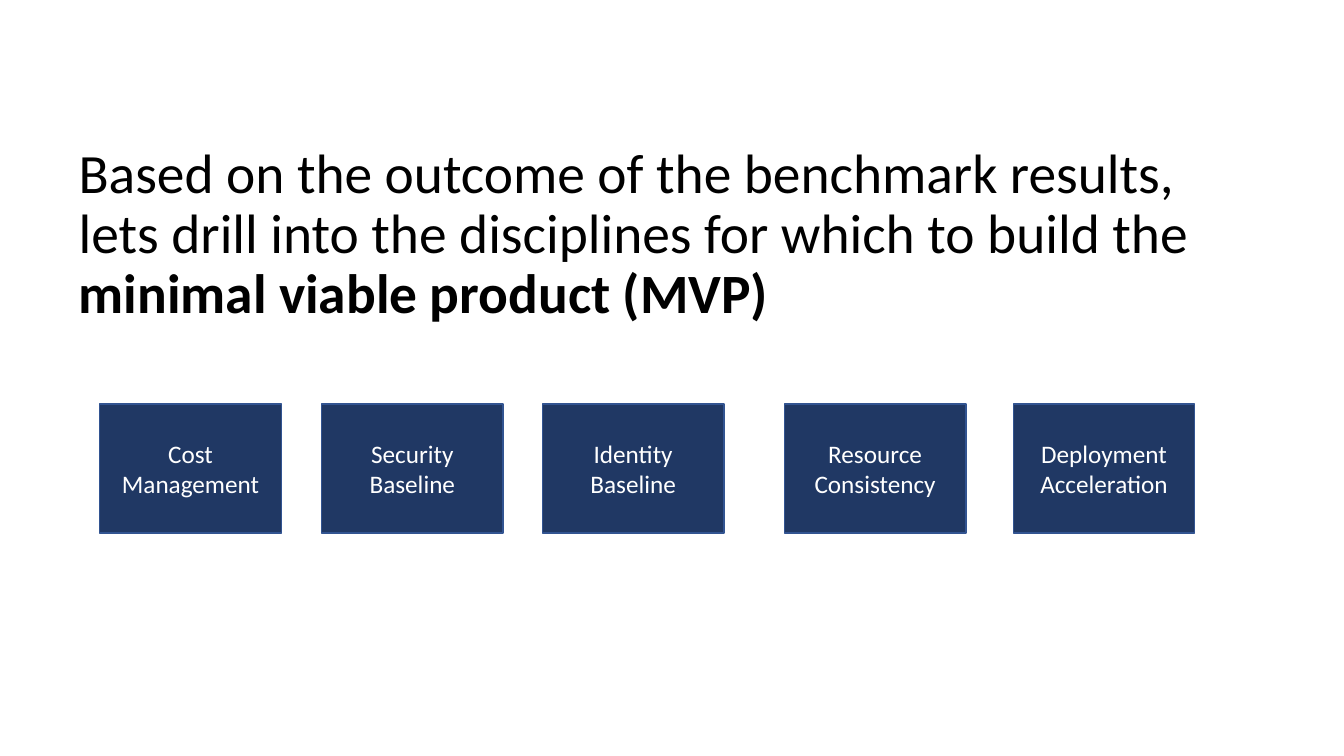
from dataclasses import dataclass

from pptx import Presentation
from pptx.dml.color import RGBColor
from pptx.enum.shapes import MSO_SHAPE
from pptx.enum.text import MSO_ANCHOR, MSO_AUTO_SIZE, PP_ALIGN
from pptx.util import Inches, Pt


@dataclass(frozen=True)
class Theme:
    font: str = "Calibri"
    title_size: float = 39.6
    card_size: float = 18
    title_color: RGBColor = RGBColor(0x00, 0x00, 0x00)
    card_fill: RGBColor = RGBColor(0x20, 0x38, 0x64)
    card_line: RGBColor = RGBColor(0x32, 0x54, 0x91)
    card_text: RGBColor = RGBColor(0xFF, 0xFF, 0xFF)


THEME = Theme()
TITLE_BOX = (0.68, 1.33, 11.5, 2.02)
CARDS_BOX = (0.99, 4.01, 10.86, 1.28)
CARD_WIDTH = 1.8
# Each discipline with its distance from the left edge of the row
DISCIPLINES = {
    "Cost Management": 0,
    "Security Baseline": 2.2,
    "Identity Baseline": 4.39,
    "Resource Consistency": 6.79,
    "Deployment Acceleration": 9.06,
}


def style_paragraph(paragraph, size, color, alignment):
    paragraph.alignment = alignment
    paragraph.font.name = THEME.font
    paragraph.font.size = Pt(size)
    paragraph.font.color.rgb = color


def add_title(slide, box):
    title = slide.shapes.title
    title.left, title.top, title.width, title.height = map(Inches, box)
    frame = title.text_frame
    frame.word_wrap = True
    frame.auto_size = MSO_AUTO_SIZE.NONE
    frame.vertical_anchor = MSO_ANCHOR.MIDDLE
    paragraph = frame.paragraphs[0]
    paragraph.line_spacing = 0.9
    style_paragraph(paragraph, THEME.title_size, THEME.title_color, PP_ALIGN.LEFT)
    paragraph.add_run().text = (
        "Based on the outcome of the benchmark results, "
        "lets drill into the disciplines for which to build the "
    )
    emphasis = paragraph.add_run()
    emphasis.text = "minimal viable product (MVP)"
    emphasis.font.bold = True


def add_card(slide, label, box):
    card = slide.shapes.add_shape(MSO_SHAPE.RECTANGLE, *map(Inches, box))
    card.shadow.inherit = False
    card.fill.solid()
    card.fill.fore_color.rgb = THEME.card_fill
    card.line.color.rgb = THEME.card_line
    card.line.width = Pt(1)
    frame = card.text_frame
    frame.word_wrap = True
    frame.vertical_anchor = MSO_ANCHOR.MIDDLE
    frame.text = label
    style_paragraph(frame.paragraphs[0], THEME.card_size, THEME.card_text, PP_ALIGN.CENTER)


def add_discipline_row(slide, box):
    left, top, _, height = box
    for label, offset in DISCIPLINES.items():
        add_card(slide, label, (left + offset, top, CARD_WIDTH, height))


def main():
    presentation = Presentation()
    presentation.slide_width = Inches(13.33)
    presentation.slide_height = Inches(7.5)
    title_only = presentation.slide_layouts[5]
    slide = presentation.slides.add_slide(title_only)

    # Statement above, disciplines below
    add_title(slide, TITLE_BOX)
    add_discipline_row(slide, CARDS_BOX)
    presentation.save("out.pptx")


if __name__ == "__main__":
    main()
